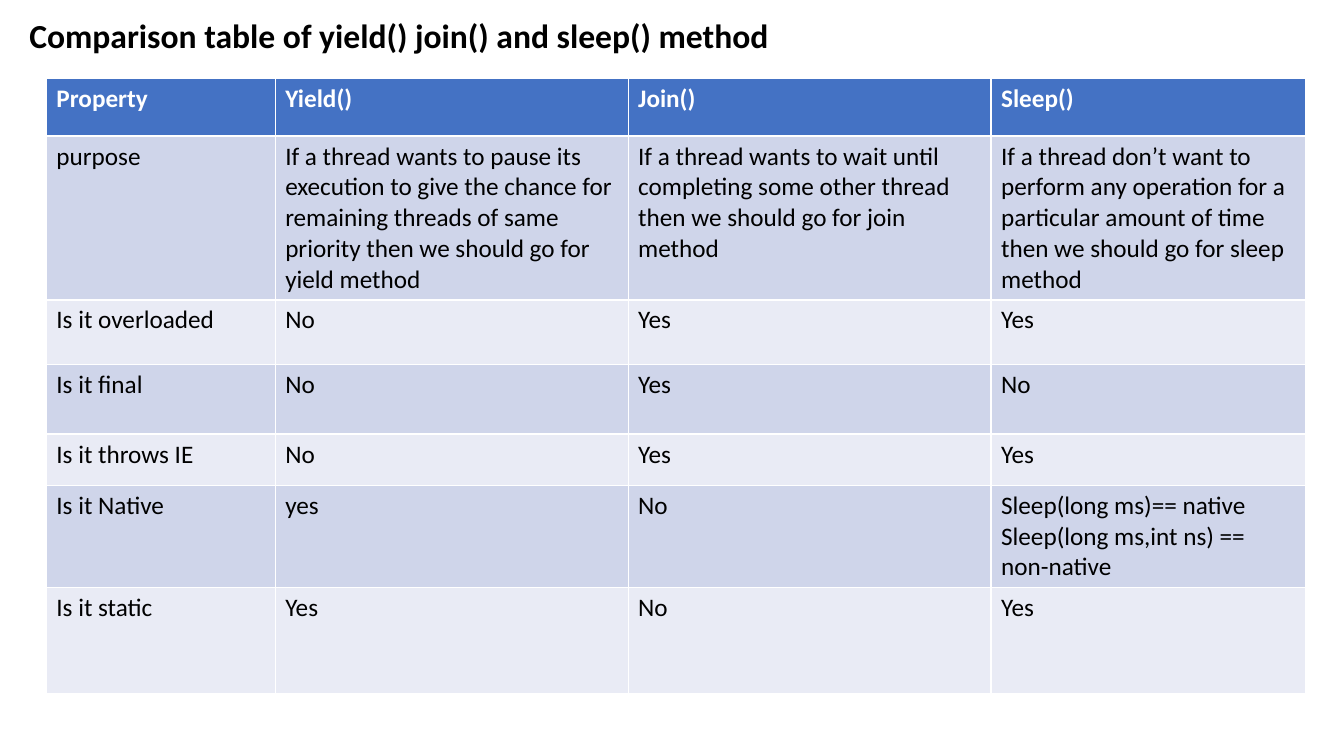
from pptx import Presentation
from pptx import util as u
from pptx.dml import color
from pptx.enum import text

TITLE = "Comparison table of yield() join() and sleep() method"
COLUMN_WIDTHS = [2.27, 3.5, 3.6, 3.12]
ROW_HEIGHTS = [0.57, 1.6, 0.64, 0.69, 0.51, 1.0, 1.05]
COMPARISON = [
    ["Property", "Yield()", "Join()", "Sleep()"],
    ["purpose",
     "If a thread wants to pause its execution to give the chance for "
     "remaining threads of same priority then we should go for yield method",
     "If a thread wants to wait until completing some other thread "
     "then we should go for join method",
     "If a thread don’t want to perform any operation for a particular "
     "amount of time then we should go for sleep method"],
    ["Is it overloaded", "No", "Yes", "Yes"],
    ["Is it final", "No", "Yes", "No"],
    ["Is it throws IE", "No", "Yes", "Yes"],
    ["Is it Native", "yes", "No",
     "Sleep(long ms)== native\nSleep(long ms,int ns) == non-native"],
    ["Is it static", "Yes", "No", "Yes"],
]


def rgb(value):
    """Turn a hex string into a colour."""
    return color.RGBColor.from_string(value)


class SlideBuilder:
    """Hold the style and the current slide."""

    font = "Calibri"
    ink = "000000"
    header_ink = "FFFFFF"
    header_fill = "4472C4"
    band_fills = ["E9EBF5", "CFD5EA"]

    def __init__(self, deck):
        """Add a title-only slide to the deck."""
        self.slide = deck.slides.add_slide(deck.slide_layouts[5])

    def set_words(self, frame, words, size, ink, bold):
        """Fill a text frame with left-aligned text in the slide's font."""
        frame.text = words
        style = {"name": self.font, "size": u.Pt(size), "bold": bold}
        for para in frame.paragraphs:
            para.alignment = text.PP_ALIGN.LEFT
            for span in para.runs:
                for key, value in style.items():
                    setattr(span.font, key, value)
                span.font.color.rgb = rgb(ink)

    def title(self, words, left, top, width, height):
        """Place and format the title placeholder."""
        box = self.slide.shapes.title
        place = {"left": left, "top": top, "width": width, "height": height}
        for key, value in place.items():
            setattr(box, key, u.Inches(value))
        layout = {"word_wrap": True, "auto_size": text.MSO_AUTO_SIZE.NONE,
                  "vertical_anchor": text.MSO_ANCHOR.TOP}
        for key, value in layout.items():
            setattr(box.text_frame, key, value)
        self.set_words(box.text_frame, words, 24, self.ink, True)

    def table(self, rows, left, top, widths, heights):
        """Add a banded table with a coloured header row."""
        lengths = [u.Inches(n) for n in (left, top, sum(widths), sum(heights))]
        table = self.slide.shapes.add_table(len(rows), len(widths), *lengths).table
        for column, width in zip(table.columns, widths):
            column.width = u.Inches(width)
        for row, height in zip(table.rows, heights):
            row.height = u.Inches(height)
        for index, row in enumerate(rows):
            header = index == 0
            fill = self.header_fill if header else self.band_fills[index % 2]
            ink = self.header_ink if header else self.ink
            for cell, words in zip(table.rows[index].cells, row):
                cell.fill.solid()
                cell.fill.fore_color.rgb = rgb(fill)
                self.set_words(cell.text_frame, words, 18, ink, header)


deck = Presentation()
deck.slide_width, deck.slide_height = u.Inches(13.33), u.Inches(7.5)
builder = SlideBuilder(deck)
builder.title(TITLE, 0.19, 0.1, 13, 0.81)
builder.table(COMPARISON, 0.46, 0.78, COLUMN_WIDTHS, ROW_HEIGHTS)
deck.save("out.pptx")
